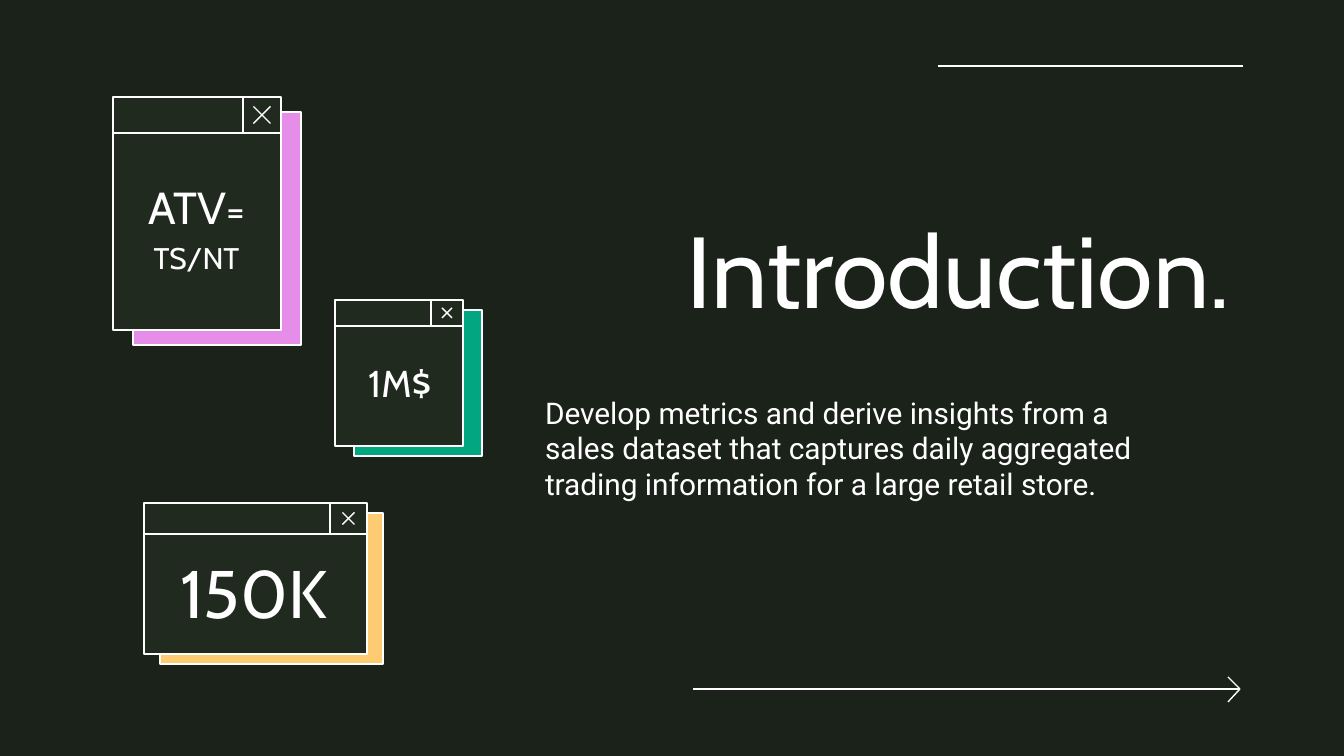
from lxml import etree
from pptx import Presentation
from pptx.dml.color import RGBColor
from pptx.enum.shapes import MSO_CONNECTOR, MSO_SHAPE
from pptx.enum.text import MSO_ANCHOR, MSO_AUTO_SIZE, PP_ALIGN
from pptx.oxml.ns import qn
from pptx.util import Emu, Pt

RECT, STRAIGHT = MSO_SHAPE.RECTANGLE, MSO_CONNECTOR.STRAIGHT
LEFT, CENTER, RIGHT = PP_ALIGN.LEFT, PP_ALIGN.CENTER, PP_ALIGN.RIGHT
MIDDLE, NO_FIT = MSO_ANCHOR.MIDDLE, MSO_AUTO_SIZE.NONE

COLORS = {
    "bg": "1B221A", "panel": "202A1F", "white": "FFFFFF",
    "pink": "E58DE9", "teal": "02A681", "yellow": "FDCB72",
}
WIDTH, HEIGHT = 1344, 756
PX = 9144000 / WIDTH
INSET = 13

TITLE = [[("Introduction.", 54)]]
BODY = [[("Develop metrics and derive insights from a sales dataset that captures "
          "daily aggregated trading information for a large retail store.", 16)]]
WINDOWS = [
    {"box": (113, 97, 168, 233), "offset": (20, 15), "bar": 36, "button": 38, "cross": 17,
     "color": "pink", "text_box": (130, 134, 133, 179), "spacing": 1.15,
     "text": [[("ATV", 24), ("=", 20)], [("TS/NT", 16)]]},
    {"box": (144, 503, 223, 151), "offset": (16, 10), "bar": 31, "button": 37, "cross": 12,
     "color": "yellow", "text_box": (152, 534, 203, 116), "spacing": 1,
     "text": [[("150K", 36)]]},
    {"box": (335, 300, 128, 146), "offset": (19, 10), "bar": 26, "button": 32, "cross": 10,
     "color": "teal", "text_box": (339, 333, 121, 99), "spacing": 1,
     "text": [[("1M$", 20)]]},
]
RULE = (938, 66, 1243, 66)
ARROW = [(1240, 689, 693, 689), (1240, 689, 1228, 702), (1240, 689, 1228, 677)]


def px(*values):
    return [Emu(round(v * PX)) for v in values]


def rgb(name):
    return RGBColor.from_string(COLORS[name])


def add_line(shapes, points):
    c = shapes.add_connector(STRAIGHT, *px(*points))
    c.line.color.rgb = rgb("white")
    c.line.width = Pt(0.75)
    etree.SubElement(c._element.spPr, qn("a:effectLst"))


def add_rect(shapes, box, color):
    sp = shapes.add_shape(RECT, *px(*box))
    sp.shadow.inherit = False
    sp.fill.solid()
    sp.fill.fore_color.rgb = rgb(color)
    sp.line.color.rgb = rgb("white")
    sp.line.width = Pt(0.75)


def set_text(sp, paragraphs, align, font="Cabin", spacing=1, after=0):
    tf = sp.text_frame
    tf.word_wrap = True
    tf.auto_size = NO_FIT
    tf.vertical_anchor = MIDDLE
    tf.margin_left, tf.margin_top, tf.margin_right, tf.margin_bottom = px(*[INSET] * 4)
    for i, runs in enumerate(paragraphs):
        p = tf.add_paragraph() if i else tf.paragraphs[0]
        p.alignment = align
        p.line_spacing = spacing
        p.space_before, p.space_after = Pt(0), Pt(after)
        for text, size in runs:
            r = p.add_run()
            r.text = text
            r.font.name = font
            r.font.size = Pt(size)
            r.font.color.rgb = rgb("white")


def place(sp, box):
    sp.left, sp.top, sp.width, sp.height = px(*box)


def add_window(s, win):
    x, y, w, h = win["box"]
    dx, dy = win["offset"]
    split, bar = x + w - win["button"], y + win["bar"]
    cx, cy, half = (split + x + w) / 2, (y + bar) / 2, win["cross"] / 2
    shapes = s.shapes.add_group_shape().shapes
    add_rect(shapes, (x + dx, y + dy, w, h), win["color"])
    add_rect(shapes, win["box"], "panel")
    add_line(shapes, (cx - half, cy - half, cx + half, cy + half))
    add_line(shapes, (cx + half, cy - half, cx - half, cy + half))
    add_line(shapes, (x, bar, x + w, bar))
    add_line(shapes, (split, y, split, bar))
    label = s.shapes.add_textbox(*px(*win["text_box"]))
    set_text(label, win["text"], CENTER, spacing=win["spacing"])


prs = Presentation()
prs.slide_width, prs.slide_height = px(WIDTH, HEIGHT)
s = prs.slides.add_slide(prs.slide_layouts[0])
s.background.fill.solid()
s.background.fill.fore_color.rgb = rgb("bg")

arrow = s.shapes.add_group_shape()
for points in ARROW:
    add_line(arrow.shapes, points)
add_line(s.shapes, RULE)

title, body = s.placeholders
place(title, (544, 206, 699, 124))
set_text(title, TITLE, RIGHT)
place(body, (532, 345, 628, 206))
set_text(body, BODY, LEFT, font="Roboto", after=16)

for win in WINDOWS:
    add_window(s, win)

prs.save("out.pptx")
